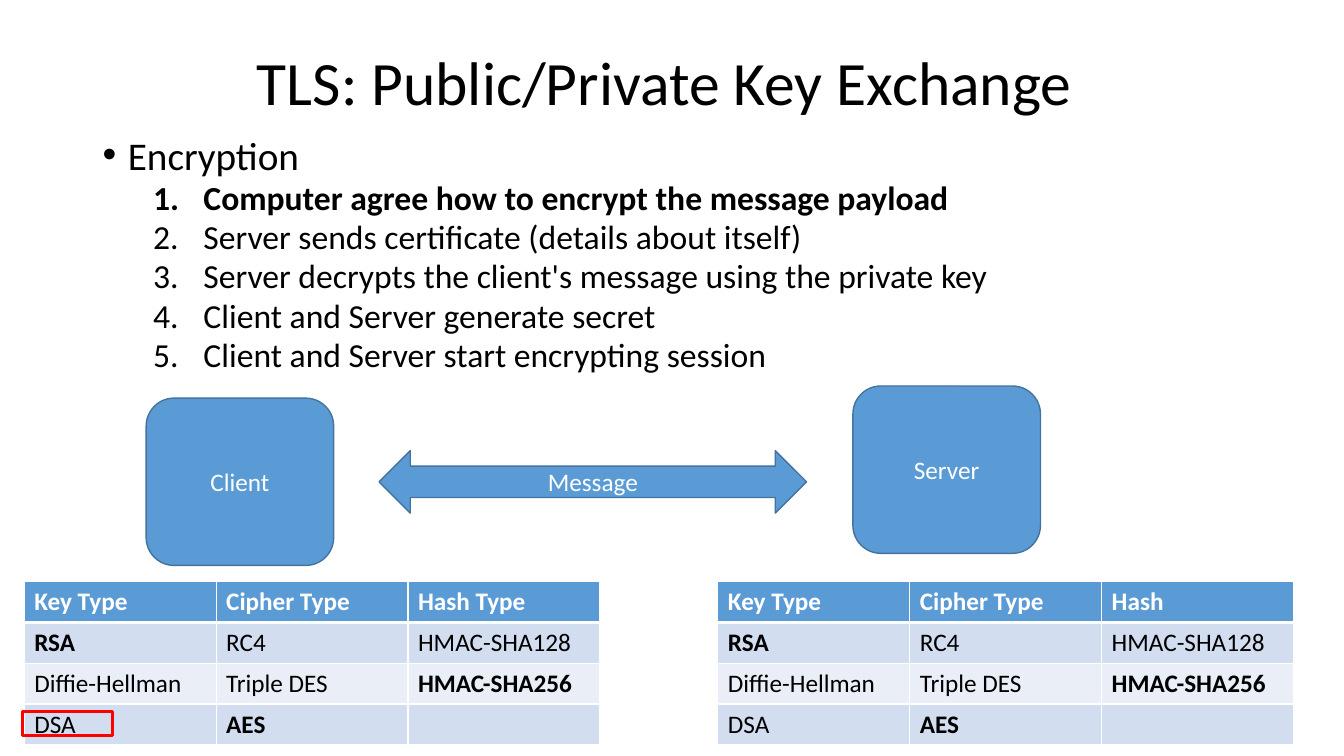
from lxml.etree import SubElement
from pptx import Presentation
from pptx.dml.color import RGBColor
from pptx.enum.shapes import MSO_SHAPE as SHAPE
from pptx.enum.text import MSO_ANCHOR as ANCHOR, PP_ALIGN as ALIGN
from pptx.oxml.ns import qn
from pptx.util import Inches, Pt

BLACK, WHITE, RED = "000000", "FFFFFF", "FF0000"
BLUE, DARK_BLUE = "5B9BD5", "43739E"
BANDS = ["D2DEEF", "EAEFF7"]


def color(value):
    return RGBColor.from_string(value)


class SlideBuilder:
    font = "Calibri"

    def __init__(self, prs):
        self.s = prs.slides.add_slide(prs.slide_layouts[6])

    def style(self, p, size, fill, bold=False):
        for r in p.runs:
            r.font.name = self.font
            r.font.size = Pt(size)
            r.font.bold = bold
            r.font.color.rgb = color(fill)

    def text_box(self, box, anchor=ANCHOR.TOP):
        tf = self.s.shapes.add_textbox(*map(Inches, box)).text_frame
        tf.word_wrap = True
        tf.vertical_anchor = anchor
        return tf

    def title(self, text, box):
        p = self.text_box(box, ANCHOR.MIDDLE).paragraphs[0]
        p.text = text
        p.line_spacing = 0.9
        self.style(p, 44, BLACK)

    def bullet(self, p, margin, hanging, tag, **attrs):
        pPr = p._p.get_or_add_pPr()
        pPr.set("marL", str(Inches(margin)))
        pPr.set("indent", str(-Inches(hanging)))
        SubElement(pPr, qn("a:buFont"), typeface="Arial" if tag == "a:buChar" else "+mj-lt")
        SubElement(pPr, qn(tag), **attrs)

    def steps(self, heading, items, bold_item, box):
        tf = self.text_box(box)
        p = tf.paragraphs[0]
        p.text = heading
        p.line_spacing = 0.8
        p.space_before = Pt(10)
        self.style(p, 28, BLACK)
        self.bullet(p, 0.25, 0.25, "a:buChar", char="•")
        for item in items:
            p = tf.add_paragraph()
            p.text = item
            p.level = 1
            p.line_spacing = 0.8
            p.space_before = Pt(5)
            self.style(p, 24, BLACK, item == bold_item)
            self.bullet(p, 1, 0.5, "a:buAutoNum", type="arabicPeriod")

    def shape(self, kind, box, line, width, fill=None, text=""):
        sp = self.s.shapes.add_shape(kind, *map(Inches, box))
        sp.shadow.inherit = False
        sp.line.color.rgb = color(line)
        sp.line.width = Pt(width)
        if fill:
            sp.fill.solid()
            sp.fill.fore_color.rgb = color(fill)
        else:
            sp.fill.background()
        if text:
            tf = sp.text_frame
            tf.text = text
            tf.vertical_anchor = ANCHOR.MIDDLE
            p = tf.paragraphs[0]
            p.alignment = ALIGN.CENTER
            self.style(p, 18, WHITE)

    def node(self, kind, text, box):
        self.shape(kind, box, DARK_BLUE, 1, BLUE, text)

    def borders(self, cell, bottom):
        tcPr = cell._tc.get_or_add_tcPr()
        for side, width in [("L", 1), ("R", 1), ("T", 1), ("B", bottom)]:
            ln = SubElement(tcPr, qn("a:ln" + side), w=str(Pt(width)))
            fill = SubElement(ln, qn("a:solidFill"))
            SubElement(fill, qn("a:srgbClr"), val=WHITE)

    def table(self, rows, bold, box):
        frame = self.s.shapes.add_table(len(rows), len(rows[0]), *map(Inches, box))
        for i, row in enumerate(rows):
            header = i == 0
            for j, text in enumerate(row):
                cell = frame.table.cell(i, j)
                self.borders(cell, 3 if header else 1)
                cell.fill.solid()
                cell.fill.fore_color.rgb = color(BLUE if header else BANDS[(i - 1) % 2])
                cell.text = text
                self.style(cell.text_frame.paragraphs[0], 18,
                           WHITE if header else BLACK, header or text in bold)


def main():
    prs = Presentation()
    prs.slide_width, prs.slide_height = Inches(13.33), Inches(7.5)
    slide = SlideBuilder(prs)

    slide.title("TLS: Public/Private Key Exchange", (2.45, 0.12, 10.38, 1.45))
    steps = [
        "Computer agree how to encrypt the message payload",
        "Server sends certificate (details about itself)",
        "Server decrypts the client's message using the private key",
        "Client and Server generate secret",
        "Client and Server start encrypting session",
    ]
    slide.steps("Encryption", steps, steps[0], (0.92, 1.34, 11.5, 2.58))

    slide.node(SHAPE.ROUNDED_RECTANGLE, "Client", (1.45, 3.95, 1.86, 1.66))
    slide.node(SHAPE.ROUNDED_RECTANGLE, "Server", (8.46, 3.83, 1.86, 1.66))
    slide.node(SHAPE.LEFT_RIGHT_ARROW, "Message", (3.76, 4.47, 4.24, 0.62))

    options = [
        ["RSA", "RC4", "HMAC-SHA128"],
        ["Diffie-Hellman", "Triple DES", "HMAC-SHA256"],
        ["DSA", "AES", ""],
    ]
    chosen = {"RSA", "AES", "HMAC-SHA256"}
    for left, hash_header in [(0.24, "Hash Type"), (7.12, "Hash")]:
        header = ["Key Type", "Cipher Type", hash_header]
        slide.table([header] + options, chosen, (left, 5.77, 5.71, 1.62))

    slide.shape(SHAPE.RECTANGLE, (0.22, 7.06, 0.9, 0.24), RED, 2.25)
    prs.save("out.pptx")


if __name__ == "__main__":
    main()
